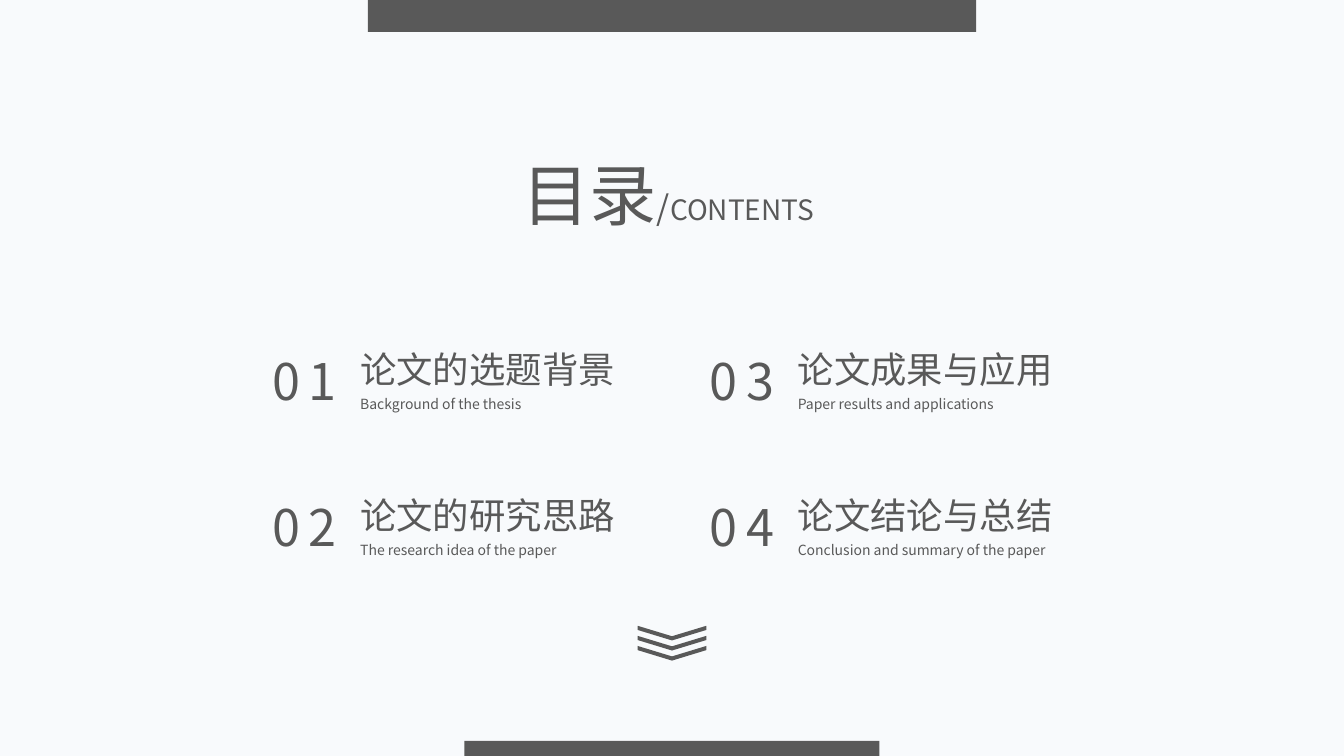
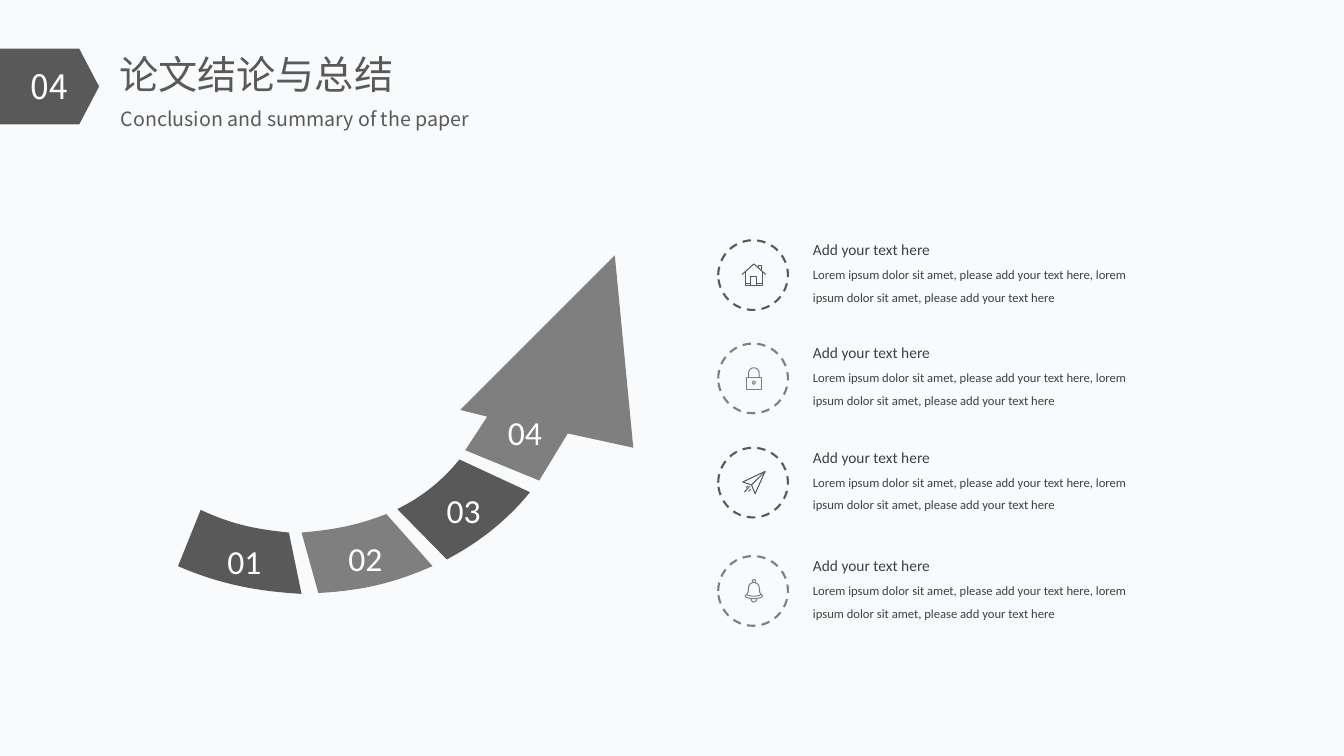
from math import cos, pi, sin

from lxml.etree import SubElement
from pptx import Presentation
from pptx.dml.color import RGBColor
from pptx.enum.dml import MSO_LINE
from pptx.enum.shapes import MSO_SHAPE
from pptx.enum.text import MSO_ANCHOR, MSO_AUTO_SIZE, PP_ALIGN
from pptx.oxml.ns import qn
from pptx.util import Emu, Inches, Pt

# The slide is a grid of 160 columns and 90 rows of square cells.
COLUMNS, ROWS = 160, 90
CELL = Inches(7.5) // ROWS
TITLE_ONLY = 5

COLORS = {
    "paper": "F8FAFC",
    "dark": "595959",
    "grey": "7F7F7F",
    "body": "404040",
    "white": "FFFFFF",
}
CJK, LATIN = "Noto Sans CJK SC", "Calibri"


def cells(count):
    return Emu(round(count * CELL))


def color(name):
    return RGBColor.from_string(COLORS[name])


def bezier(start, control_1, control_2, end, steps=16):
    """Points along a cubic curve, both ends included."""
    points = []
    for step in range(steps + 1):
        t = step / steps
        weights = ((1 - t) ** 3, 3 * t * (1 - t) ** 2, 3 * t * t * (1 - t), t ** 3)
        corners = (start, control_1, control_2, end)
        points.append(tuple(
            sum(weight * corner[axis] for weight, corner in zip(weights, corners))
            for axis in (0, 1)))
    return points


def arc(x, y, radius, start=0, end=2 * pi, steps=16):
    """Points along a circular arc, in radians clockwise from the right."""
    angles = [start + (end - start) * step / steps for step in range(steps + 1)]
    return [(x + radius * cos(angle), y + radius * sin(angle)) for angle in angles]


class Deck:
    """Holds the style and the current slide; all lengths are grid cells."""

    def __init__(self):
        self.presentation = Presentation()
        self.presentation.slide_width = cells(COLUMNS)
        self.presentation.slide_height = cells(ROWS)
        background = self.presentation.slide_master.background.fill
        background.solid()
        background.fore_color.rgb = color("paper")
        self.slide = None

    def new_slide(self):
        layout = self.presentation.slide_layouts[TITLE_ONLY]
        self.slide = self.presentation.slides.add_slide(layout)

    def title(self, place, runs, line_spacing=1.0):
        shape = self.slide.shapes.title
        shape.left, shape.top, shape.width, shape.height = map(cells, place)
        self._write(shape, runs, "dark", CJK, PP_ALIGN.LEFT, line_spacing)

    def text(self, place, text, size, ink="dark", font=CJK,
             align=PP_ALIGN.LEFT, line_spacing=1.0, tracking=0):
        shape = self.slide.shapes.add_textbox(*map(cells, place))
        self._write(shape, [(text, size)], ink, font, align, line_spacing, tracking)

    def _write(self, shape, runs, ink, font, align, line_spacing, tracking=0):
        frame = shape.text_frame
        frame.word_wrap = True
        frame.auto_size = MSO_AUTO_SIZE.NONE
        frame.vertical_anchor = MSO_ANCHOR.TOP
        paragraph = frame.paragraphs[0]
        paragraph.alignment = align
        paragraph.line_spacing = line_spacing
        for text, size in runs:
            run = paragraph.add_run()
            run.text = text
            run.font.size = Pt(size)
            run.font.name = font
            run.font.color.rgb = color(ink)
            properties = run._r.get_or_add_rPr()
            SubElement(properties, qn("a:ea")).set("typeface", font)
            if tracking:
                properties.set("spc", str(tracking * 100))

    def block(self, place, kind=MSO_SHAPE.RECTANGLE, rotation=0):
        shape = self.slide.shapes.add_shape(kind, *map(cells, place))
        shape.rotation = rotation
        self._fill(shape, "dark")

    def dashed_ring(self, place, ink):
        shape = self.slide.shapes.add_shape(MSO_SHAPE.OVAL, *map(cells, place))
        self._outline(shape, ink, 1.5)
        shape.line.dash_style = MSO_LINE.DASH

    def polygon(self, points, ink):
        self._fill(self._freeform([points], closed=True), ink)

    def icon(self, center, half_size, strokes, ink):
        """Draw strokes given in a square from -1 to 1 around the center."""
        x, y = center
        placed = [[(x + half_size * dx, y + half_size * dy) for dx, dy in stroke]
                  for stroke in strokes]
        self._outline(self._freeform(placed, closed=False), ink, 0.75)

    def _freeform(self, contours, closed):
        contours = [[(cells(x), cells(y)) for x, y in contour] for contour in contours]
        builder = self.slide.shapes.build_freeform(*contours[0][0])
        for index, (start, *others) in enumerate(contours):
            if index:
                builder.move_to(*start)
            builder.add_line_segments(others, close=closed)
        return builder.convert_to_shape()

    def _fill(self, shape, ink):
        shape.shadow.inherit = False
        shape.fill.solid()
        shape.fill.fore_color.rgb = color(ink)
        shape.line.fill.background()

    def _outline(self, shape, ink, width):
        shape.shadow.inherit = False
        shape.fill.background()
        shape.line.color.rgb = color(ink)
        shape.line.width = Pt(width)


CHAPTERS = [
    ("论文的选题背景", "Background of the thesis"),
    ("论文的研究思路", "The research idea of the paper"),
    ("论文成果与应用", "Paper results and applications"),
    ("论文结论与总结", "Conclusion and summary of the paper"),
]

HOUSE = [
    [(-1, -0.05), (0, -0.95), (1, -0.05)],
    [(-0.7, -0.3), (-0.7, 0.9), (0.7, 0.9), (0.7, -0.3)],
    [(-0.25, 0.9), (-0.25, 0.1), (0.25, 0.1), (0.25, 0.9)],
    [(0.35, -0.65), (0.35, -0.85), (0.65, -0.85), (0.65, -0.4)],
    [(-0.7, 0.75), (-0.25, 0.75)],
    [(0.25, 0.75), (0.7, 0.75)],
]
LOCK = [
    [(-0.65, -0.1), (0.65, -0.1), (0.65, 0.95), (-0.65, 0.95), (-0.65, -0.1)],
    [(-0.45, -0.1), *arc(0, -0.45, 0.45, pi, 2 * pi), (0.45, -0.1)],
    arc(0, 0.35, 0.12),
    [(0, 0.47), (0, 0.6)],
]
PLANE = [
    [(-0.95, -0.05), (0.95, -0.95), (0.1, 0.95), (-0.2, 0.2), (-0.95, -0.05)],
    [(-0.2, 0.2), (0.95, -0.95)],
    [(-0.35, 0.3), (-0.8, 0.8)],
    [(-0.25, 0.55), (-0.45, 0.75)],
    [(-0.55, 0.3), (-0.65, 0.4)],
]
BELL_SIDE = bezier((-0.1, -0.7), (-0.75, -0.5), (-0.2, 0.1), (-0.75, 0.4))
BELL = [
    arc(0, -0.83, 0.13),
    BELL_SIDE,
    [(-x, y) for x, y in BELL_SIDE],
    bezier((-0.75, 0.4), (-0.7, 0.75), (0.7, 0.75), (0.75, 0.4)),
    bezier((-0.65, 0.3), (-0.3, 0.5), (0.3, 0.5), (0.65, 0.3)),
    bezier((-0.25, 0.65), (-0.2, 1.05), (0.2, 1.05), (0.25, 0.65)),
]
# Icon, ink and top row of each ring.
ITEMS = [
    (HOUSE, "dark", 28.6),
    (LOCK, "grey", 40.9),
    (PLANE, "dark", 53.3),
    (BELL, "grey", 66.2),
]
ITEM_HEADING = "Add your text here"
ITEM_BODY = ("Lorem ipsum dolor sit amet, please add your text here, "
             "lorem ipsum dolor sit amet, please add your text here")

# Outline, ink and label position of each step of the rising arrow.
ARROW_STEPS = [
    (bezier((35.9, 70.7), (30.7, 70.4), (26.3, 69.6), (21.2, 67.4))
     + bezier((23.9, 60.7), (27.5, 62.4), (30.4, 63), (34.4, 63.4)),
     "dark", (25.4, 63.8)),
    (bezier((51.5, 67.4), (46.9, 69.4), (43.3, 70.3), (37.9, 70.6))
     + bezier((35.9, 63.4), (39.7, 63.1), (42.7, 62.5), (46, 61.2)),
     "grey", (39.8, 63.5)),
    (bezier((63.1, 58.6), (60.1, 62.3), (56.6, 64.8), (53.2, 66.6))
     + bezier((47.3, 60.6), (50.2, 59.2), (52.7, 57.2), (54.7, 54.7)),
     "dark", (51.5, 57.7)),
    ([(73.2, 30.4), (75.4, 53.3), (67.6, 51.6), (64.2, 57.2),
      (55.4, 53.6), (58, 49.6), (54.8, 48.8)],
     "grey", (58.8, 48.5)),
]


def build_contents(deck):
    deck.new_slide()
    deck.block((43.8, 0, 72.4, 3.8))
    deck.block((55.3, 88.2, 49.4, 1.8))
    deck.title((61, 12.8, 42, 14), [("目录", 48), ("/", 24), ("CONTENTS", 20)], 1.5)
    for index, (heading, subtitle) in enumerate(CHAPTERS):
        column, row = divmod(index, 2)
        left, top = 30 + 52.1 * column, 40.7 + 17.4 * row
        deck.text((left, top + 0.4, 12.5, 8.5), f"{index + 1:02}", 36,
                  align=PP_ALIGN.CENTER, tracking=6)
        deck.text((left + 11.7, top, 34.6, 6.5), heading, 26)
        deck.text((left + 11.7, top + 4.8, 34.7, 4), subtitle, 10, line_spacing=1.5)
    middle, half_width, depth, thickness = COLUMNS / 2, 4.1, 1.25, 0.5
    for index in range(3):
        top = 74.5 + 1.2 * index
        upper = [(middle - half_width, top), (middle, top + depth),
                 (middle + half_width, top)]
        lower = [(x, y + thickness) for x, y in reversed(upper)]
        deck.polygon(upper + lower, "dark")


def build_conclusion(deck):
    heading, subtitle = CHAPTERS[3]
    deck.new_slide()
    deck.block((1.4, 4.4, 9, 11.8), MSO_SHAPE.FLOWCHART_OFFPAGE_CONNECTOR, 270)
    deck.text((0, 7.2, 11.8, 6), "04", 24, "white", align=PP_ALIGN.CENTER)
    deck.title((13, 5.4, 39.5, 6.8), [(heading, 28)])
    deck.text((13.2, 10.8, 47.4, 5), subtitle, 14, line_spacing=1.5)
    for number, (outline, ink, (left, top)) in enumerate(ARROW_STEPS, 1):
        deck.polygon(outline, ink)
        deck.text((left, top, 7.4, 6), f"{number:02}", 24, "white", LATIN,
                  PP_ALIGN.CENTER)
    ring_left, ring_size, text_left = 85.5, 8.3, 95.6
    for strokes, ink, top in ITEMS:
        deck.dashed_ring((ring_left, top, ring_size, ring_size), ink)
        center = (ring_left + ring_size / 2 + 0.1, top + ring_size / 2)
        deck.icon(center, 1.4, strokes, ink)
        deck.text((text_left, top - 1.7, 19.6, 3.5), ITEM_HEADING, 11, "body", LATIN,
                  line_spacing=1.5)
        deck.text((text_left, top + 1.7, 43, 5.3), ITEM_BODY, 9, "body", LATIN,
                  line_spacing=1.5)


def main():
    deck = Deck()
    build_contents(deck)
    build_conclusion(deck)
    deck.presentation.save("out.pptx")


if __name__ == "__main__":
    main()
